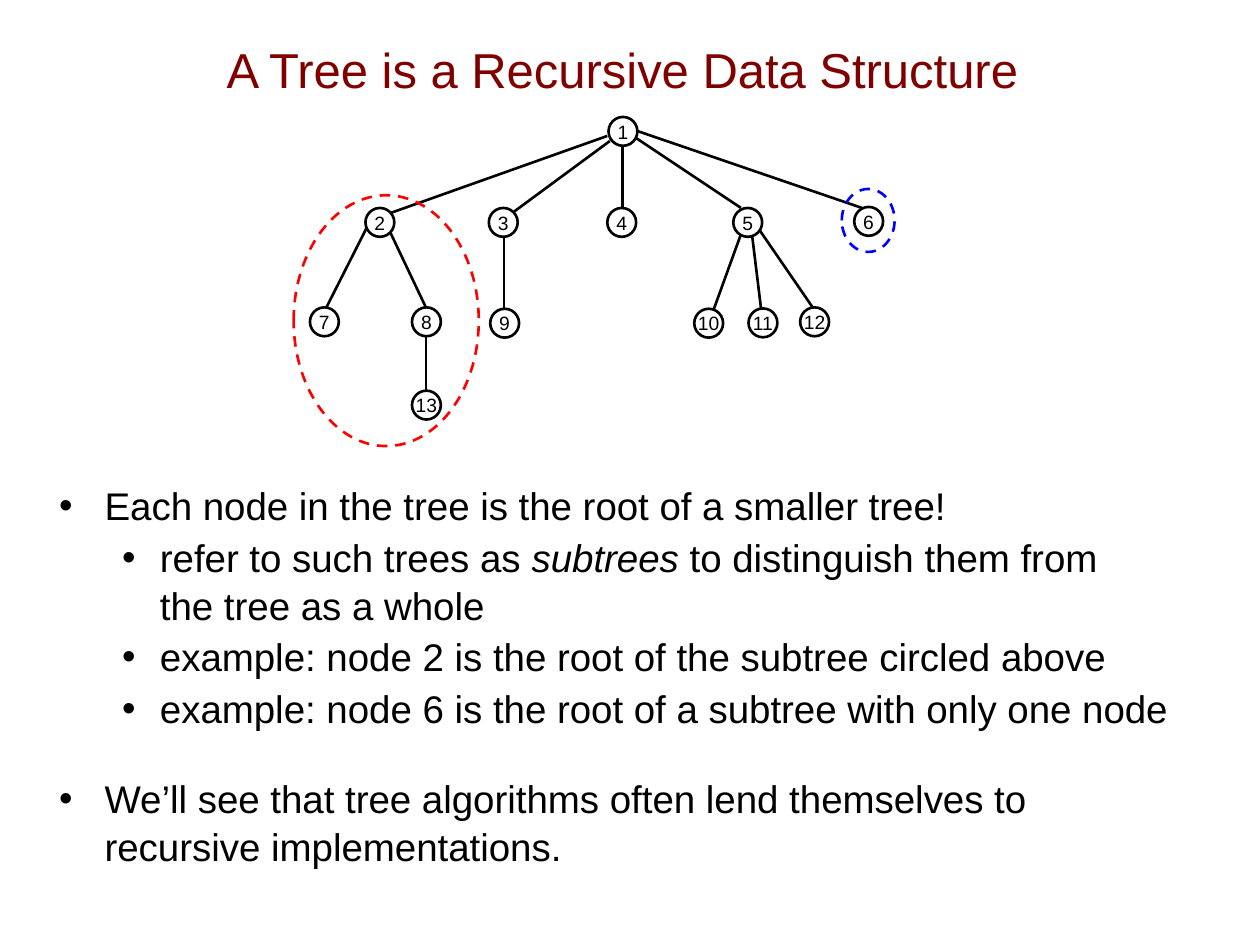
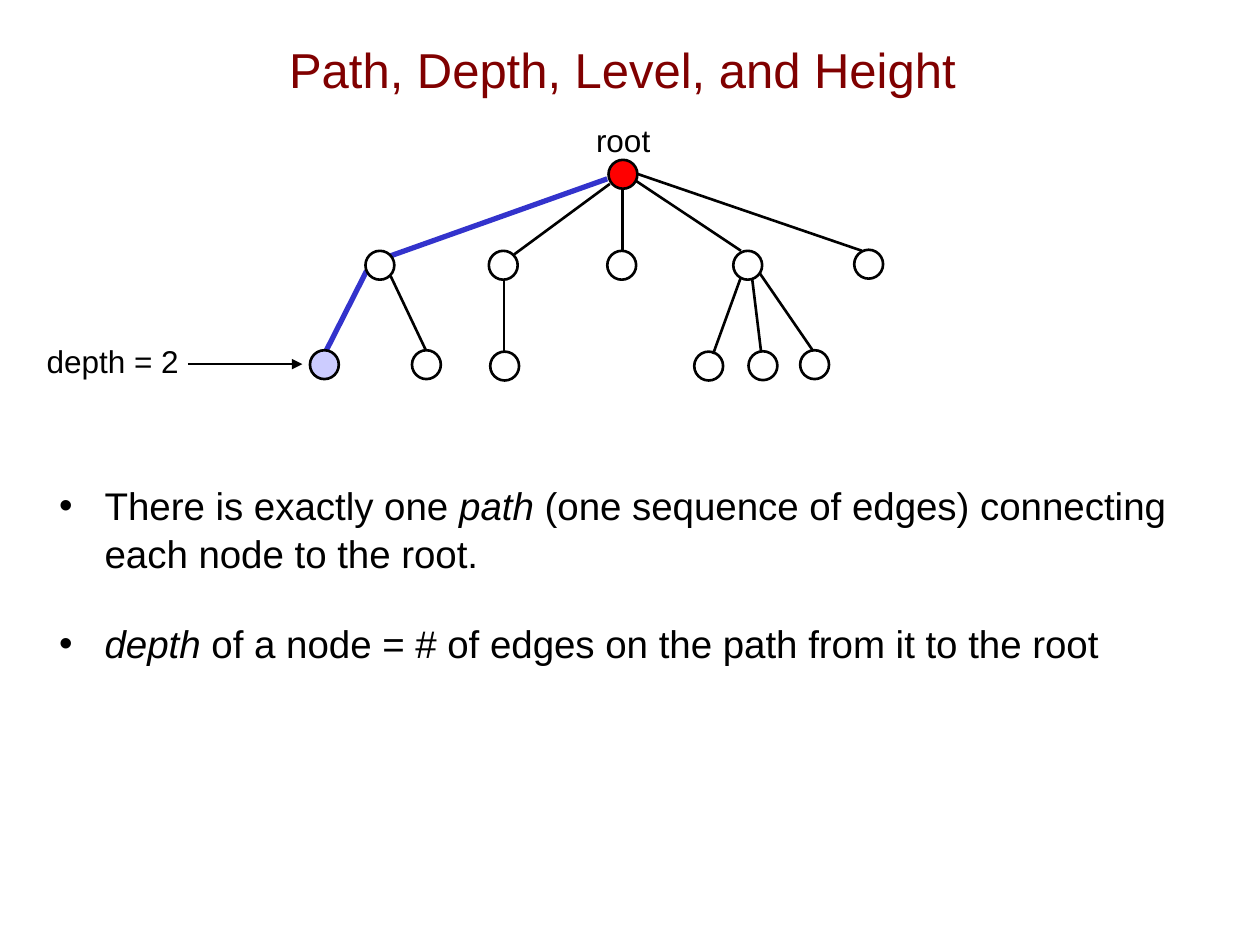
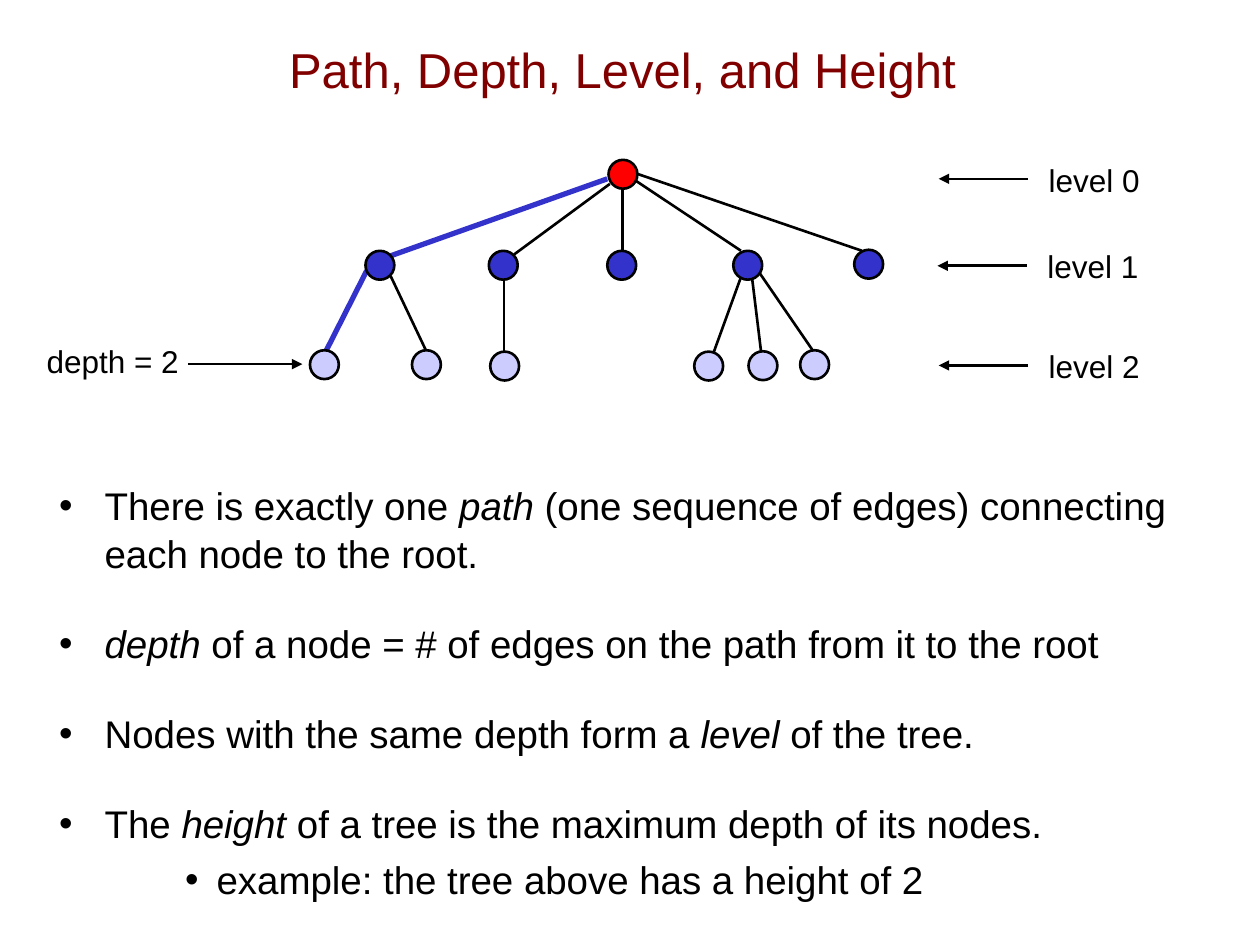
import dataclasses

import pptx
import pptx.dml.color
import pptx.enum.dml
import pptx.enum.shapes
import pptx.enum.text
import pptx.oxml.ns
import pptx.oxml.xmlchemy
import pptx.util

Pt = pptx.util.Pt


@dataclasses.dataclass(frozen=True)
class Theme:
    font: str = "Arial"
    ink: str = "000000"
    title: str = "800000"
    paper: str = "FFFFFF"
    root: str = "FF0000"
    deep: str = "3333CC"
    pale: str = "CCCCFF"
    subtree: str = "FF0000"
    single: str = "0000FF"
    title_size: float = 28
    body_size: float = 22
    label_size: float = 18
    node_size: float = 11
    thin: float = 1.5
    thick: float = 3
    line_spacing: float = 1.04


THEME = Theme()

DIAMETER = 16.5
NODES = {
    1: (356, 99.6), 2: (217.1, 151.6), 3: (287.6, 151.6), 4: (355.3, 151.6),
    5: (427.3, 151.6), 6: (496.4, 151), 7: (185.4, 208.4), 8: (243.7, 208.4),
    9: (288.4, 209.2), 10: (405, 209.2), 11: (436, 209), 12: (465.5, 208.4),
    13: (243.7, 256),
}
EDGES = {
    (1, 2): (347, 102.2, 223.2, 146.2),
    (1, 3): (348.5, 105.1, 293.8, 145.4),
    (1, 4): (355.7, 108, 355.7, 143.3),
    (1, 5): (362.9, 103, 423.4, 143.3),
    (1, 6): (364.3, 99.4, 492.5, 143.3),
    (2, 7): (209.5, 154.8, 186.5, 200.2),
    (2, 8): (223.2, 157.7, 243.4, 200.2),
    (3, 9): (288, 159.8, 288, 200.9),
    (5, 10): (423.4, 158.4, 407.5, 202.3),
    (5, 11): (429.8, 159.1, 434.9, 200.9),
    (5, 12): (434.2, 156.2, 464.4, 200.2),
    (8, 13): (243.4, 216, 243.4, 257.8),
}
LEVELS = ((1,), (2, 3, 4, 5, 6), (7, 8, 9, 10, 11, 12))
SHORT_TREE = [number for level in LEVELS for number in level]
DEPTH_PATH = {(1, 2), (2, 7)}

INDENTS = ((26, -26), (57.6, -21.6), (90, -18))

DEPTH_TITLE = "Path, Depth, Level, and Height"
DEPTH_BULLETS = [
    (0, 0, "There is exactly one *path* (one sequence of edges) connecting each node to the root."),
    (0, 24, "*depth* of a node = # of edges on the path from it to the root"),
]
DEPTH_LABEL = ("depth = 2", (19.4, 194.4, 90, 26.6), 0.9, (107.3, 208.1, 172.8, 208.1))

SLIDES = [
    dict(
        title="A Tree is a Recursive Data Structure",
        body_width=693.4,
        bullets=[
            (0, 0, "Each node in the tree is the root of a smaller tree!"),
            (1, 2, "refer to such trees as *subtrees* to distinguish them from \nthe tree as a whole"),
            (1, 2, "example: node 2 is the root of the subtree circled above"),
            (1, 2, "example: node 6 is the root of a subtree with only one node"),
            (0, 24, "We’ll see that tree algorithms often lend themselves to \nrecursive implementations."),
        ],
        nodes=list(NODES),
        rise=24.5,
        numbered=True,
        fills={number: THEME.paper for number in NODES},
        path_edges=set(),
        rings=[
            ((167.8, 111.6, 105.8, 143.3), THEME.subtree),
            ((481, 108, 30.2, 36), THEME.single),
        ],
        labels=[],
    ),
    dict(
        title=DEPTH_TITLE,
        body_width=660.2,
        bullets=DEPTH_BULLETS,
        nodes=SHORT_TREE,
        rise=0,
        numbered=False,
        fills={1: THEME.root, 7: THEME.pale},
        path_edges=DEPTH_PATH,
        rings=[],
        labels=[("root", (333.4, 65.5, 45.4, 28.8), 1, None), DEPTH_LABEL],
    ),
    dict(
        title=DEPTH_TITLE,
        body_width=660.2,
        bullets=DEPTH_BULLETS + [
            (0, 24, "Nodes with the same depth form a *level* of the tree."),
            (0, 24, "The *height* of a tree is the maximum depth of its nodes."),
            (2, 4.2, "example: the tree above has a height of 2"),
        ],
        nodes=SHORT_TREE,
        rise=0,
        numbered=False,
        fills={
            number: color
            for level, color in zip(LEVELS, (THEME.root, THEME.deep, THEME.pale))
            for number in level
        },
        path_edges=DEPTH_PATH,
        rings=[],
        labels=[DEPTH_LABEL] + [
            (f"level {depth}", (left, y - 14, 67, 28.8), 1, (left - 4.3, y, left - 55.4, y))
            for depth, (left, y) in enumerate(((591.8, 102.2), (591.1, 151.9), (591.8, 208.8)))
        ],
    ),
]


def rgb(color):
    return pptx.dml.color.RGBColor.from_string(color)


def add_element(parent, tag, **attributes):
    element = parent.makeelement(pptx.oxml.ns.qn(tag), attributes)
    parent.append(element)
    return element


def set_font(font, size, color=THEME.ink):
    font.name = THEME.font
    font.size = Pt(size)
    font.color.rgb = rgb(color)


def place(shape, left, top, width, height):
    shape.left, shape.top, shape.width, shape.height = map(Pt, (left, top, width, height))


def write_centered(frame, text, size, color=THEME.ink):
    para = frame.paragraphs[0]
    para.text = text
    para.alignment = pptx.enum.text.PP_ALIGN.CENTER
    set_font(para.font, size, color)
    return para


def add_title(page, text):
    title = page.shapes.title
    place(title, 46, 5.8, 619.2, 67)
    frame = title.text_frame
    frame.vertical_anchor = pptx.enum.text.MSO_ANCHOR.MIDDLE
    frame.auto_size = pptx.enum.text.MSO_AUTO_SIZE.NONE
    write_centered(frame, text, THEME.title_size, THEME.title)


def add_bullets(page, bullets, width):
    body = page.placeholders[1]
    place(body, 26.6, 271, width, 237)
    frame = body.text_frame
    frame.auto_size = pptx.enum.text.MSO_AUTO_SIZE.NONE
    for index, (level, gap, text) in enumerate(bullets):
        para = frame.add_paragraph() if index else frame.paragraphs[0]
        para.level = level
        para.line_spacing = THEME.line_spacing
        para.space_before = Pt(gap)
        set_font(para.font, THEME.body_size)
        margin, indent = INDENTS[level]
        properties = para._p.get_or_add_pPr()
        properties.set("marL", str(Pt(margin)))
        properties.set("indent", str(Pt(indent)))
        bullet = properties.makeelement(pptx.oxml.ns.qn("a:buChar"), {"char": "•"})
        properties.find(pptx.oxml.ns.qn("a:defRPr")).addprevious(bullet)
        for part, words in enumerate(text.split("*")):
            for row, line in enumerate(words.split("\n")):
                if row:
                    para.add_line_break()
                if line:
                    span = para.add_run()
                    span.text = line
                    if part % 2:
                        span.font.italic = True


def add_line(page, ends, color=THEME.ink, width=THEME.thin, arrow=False):
    line = page.shapes.add_connector(pptx.enum.shapes.MSO_CONNECTOR.STRAIGHT, *map(Pt, ends))
    line.line.color.rgb = rgb(color)
    line.line.width = Pt(width)
    if arrow:
        add_element(line.line._get_or_add_ln(), "a:tailEnd", type="triangle")
    add_element(line._element.spPr, "a:effectLst")


def add_ellipse(page, area, fill=None, color=THEME.ink):
    ellipse = page.shapes.add_shape(pptx.enum.shapes.MSO_SHAPE.OVAL, *map(Pt, area))
    ellipse.shadow.inherit = False
    ellipse.line.color.rgb = rgb(color)
    ellipse.line.width = Pt(THEME.thin)
    if fill:
        ellipse.fill.solid()
        ellipse.fill.fore_color.rgb = rgb(fill)
    else:
        ellipse.fill.background()
    return ellipse


def add_tree(page, content):
    rise = content["rise"]
    for edge, (x1, y1, x2, y2) in EDGES.items():
        if edge[1] in content["nodes"]:
            on_path = edge in content["path_edges"]
            add_line(
                page,
                (x1, y1 - rise, x2, y2 - rise),
                THEME.deep if on_path else THEME.ink,
                THEME.thick if on_path else THEME.thin,
            )
    for number in content["nodes"]:
        x, y = NODES[number]
        area = (x - DIAMETER / 2, y - rise - DIAMETER / 2, DIAMETER, DIAMETER)
        node = add_ellipse(page, area, content["fills"].get(number))
        if content["numbered"]:
            frame = node.text_frame
            frame.word_wrap = False
            frame.margin_left = frame.margin_right = frame.margin_top = frame.margin_bottom = 0
            frame.vertical_anchor = pptx.enum.text.MSO_ANCHOR.MIDDLE
            write_centered(frame, str(number), THEME.node_size)
    for area, color in content["rings"]:
        ring = add_ellipse(page, area, color=color)
        ring.line.dash_style = pptx.enum.dml.MSO_LINE.DASH


def add_label(page, text, area, spacing, arrow):
    box = page.shapes.add_textbox(*map(Pt, area))
    box.text_frame.word_wrap = False
    para = write_centered(box.text_frame, text, THEME.label_size)
    para.line_spacing = spacing
    if arrow:
        add_line(page, arrow, arrow=True)


def main():
    deck = pptx.Presentation()
    deck.slide_width, deck.slide_height = Pt(720), Pt(540)
    for content in SLIDES:
        page = deck.slides.add_slide(deck.slide_layouts[1])
        add_title(page, content["title"])
        add_bullets(page, content["bullets"], content["body_width"])
        add_tree(page, content)
        for label in content["labels"]:
            add_label(page, *label)
    deck.save("out.pptx")


if __name__ == "__main__":
    main()
